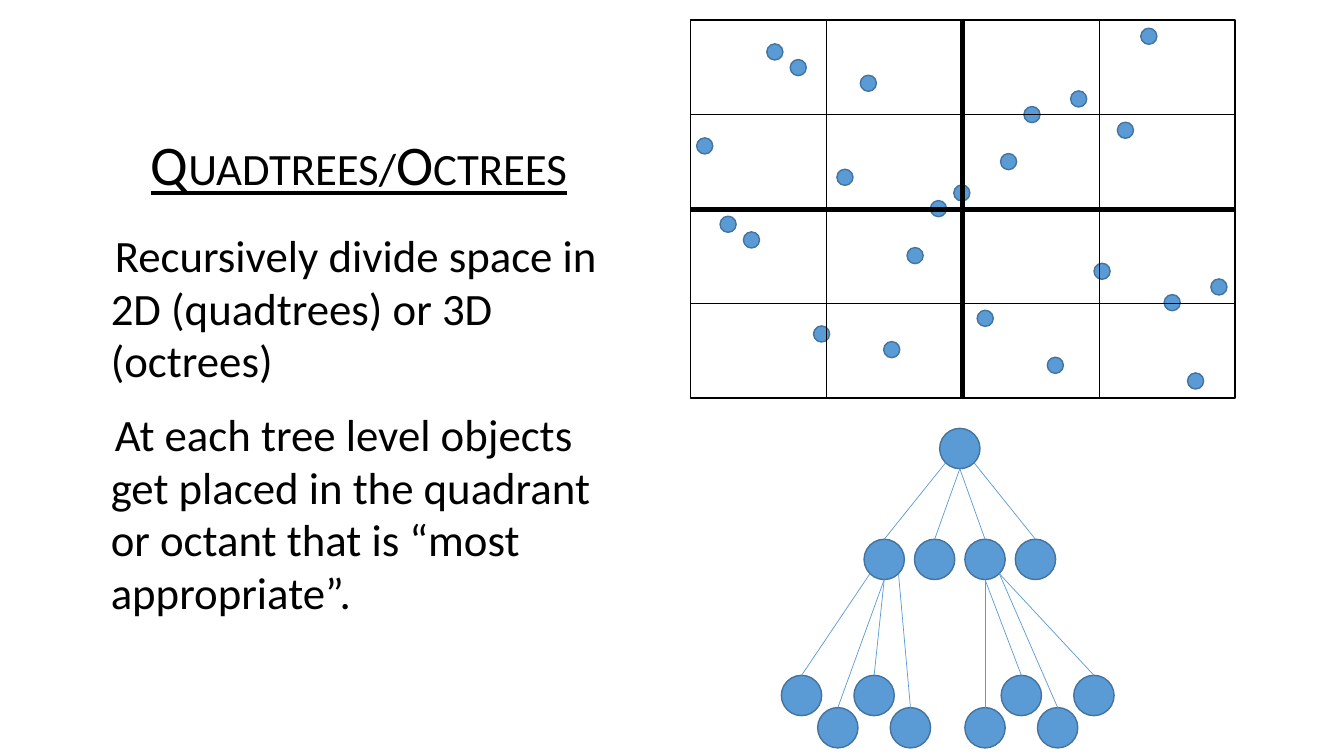
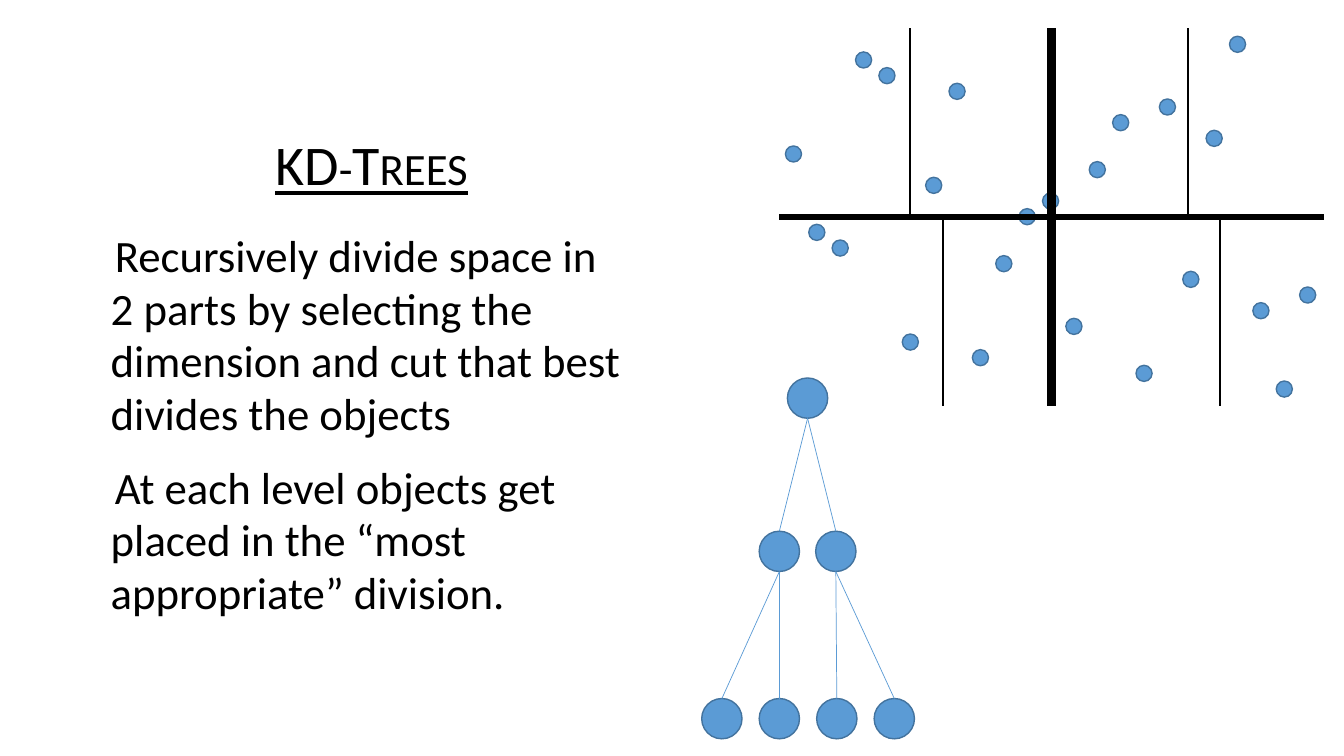
"""Build two slides comparing quadtrees/octrees with KD-trees."""
import pptx
import pptx.util
import pptx.dml.color
import pptx.enum.shapes
import pptx.enum.text
import pptx.oxml.ns
from lxml import etree

Inches, Pt = pptx.util.Inches, pptx.util.Pt
BLACK = pptx.dml.color.RGBColor(0x00, 0x00, 0x00)
BLUE = pptx.dml.color.RGBColor(0x5B, 0x9B, 0xD5)
DARK_BLUE = pptx.dml.color.RGBColor(0x43, 0x73, 0x9E)
SHAPES = pptx.enum.shapes.MSO_SHAPE
ALIGN = pptx.enum.text.PP_ALIGN

FONT = "Calibri"
PLOT_WIDTH, PLOT_HEIGHT = 5.4, 3.75
DOT, NODE = 0.16, 0.4
DOT_MARGIN = (0.06, 0.08)
DOT_SPAN = (5.1, 3.42)
DOT_ROWS = [7, 12, 13, 1, 2, 19, 9, 3, 20, 14, 11, 10, 18, 8, 5, 21, 4, 15, 6, 0, 17, 22, 16]

SLIDES = [
    {
        "title": "Quadtrees/Octrees",
        "points": [
            "Recursively divide space in 2D (quadtrees) or 3D (octrees)",
            "At each tree level objects get placed in the quadrant or octant that is “most appropriate”.",
        ],
        "text_width": 5.08,
        "plot": (6.85, 0.2),
        "framed": True,
        "cuts": [
            (0.75, 0, 0.75, 1, 0.5), (0.5, 0, 0.5, 1, 3.5), (0.25, 0, 0.25, 1, 0.5),
            (0, 0.25, 1, 0.25, 0.5), (0, 0.5, 1, 0.5, 3.5), (0, 0.75, 1, 0.75, 0.5),
        ],
        "node_rows": [
            (9.32, 0, [4.25]),
            (8.57, 0.5, [5.35] * 4),
            (7.75, 0.36, [6.7, 7.02] * 2),
            (9.57, 0.36, [7.02, 6.7] * 2),
        ],
        "families": [(0, 1, "LMMR"), (1, 5, "LMMR"), (3, 9, "MMRR")],
    },
    {
        "title": "KD-Trees",
        "points": [
            "Recursively divide space in 2 parts by selecting the dimension and cut that best divides the objects",
            "At each level objects get placed in the “most appropriate” division.",
        ],
        "text_width": 5.33,
        "plot": (7.73, 0.28),
        "framed": False,
        "cuts": [
            (0.75, 0, 0.75, 0.5, 1.5), (0.5, 0, 0.5, 1, 6), (0, 0.5, 1, 0.5, 4),
            (0.81, 0.5, 0.81, 1, 1.5), (0.24, 0, 0.24, 0.5, 1.5), (0.3, 0.5, 0.3, 1, 1.5),
        ],
        "node_rows": [
            (7.81, 0, [3.75]),
            (7.53, 0.56, [5.27] * 2),
            (6.96, 0.57, [6.93] * 4),
        ],
        "families": [(0, 1, "MM"), (1, 3, "MM"), (2, 5, "MM")],
    },
]

DIAGONAL = NODE / 2 * 0.5 ** 0.5
LINK_STARTS = {"L": (-DIAGONAL, DIAGONAL), "M": (0, NODE / 2), "R": (DIAGONAL, DIAGONAL)}


def add_text(slide, title, points, width):
    """Write the underlined title and its points in one centred box."""
    box = slide.shapes.add_textbox(Inches(1), Inches(0.91), Inches(width), Inches(5.69))
    frame = box.text_frame
    frame.word_wrap = True
    frame.vertical_anchor = pptx.enum.text.MSO_ANCHOR.MIDDLE
    frame.text = "\n".join([title, *points])
    for index, paragraph in enumerate(frame.paragraphs):
        heading = index == 0
        paragraph._p.get_or_add_pPr().set("indent", str(Inches(0.04)))
        paragraph.alignment = ALIGN.CENTER if heading else ALIGN.LEFT
        paragraph.line_spacing = 0.9 if heading else 0.98
        if heading:
            paragraph.space_after = Pt(8.4)
        else:
            paragraph.space_before = Pt(15)
        run = paragraph.runs[0]
        run.font.name = FONT
        run.font.size = Pt(40 if heading else 32)
        run.font.color.rgb = BLACK
        run.font.underline = heading
        if heading:
            run._r.get_or_add_rPr().set("cap", "small")


def add_circle(slide, left, top, size):
    """Draw a blue circle."""
    circle = slide.shapes.add_shape(SHAPES.OVAL, Inches(left), Inches(top), Inches(size), Inches(size))
    circle.shadow.inherit = False
    circle.fill.solid()
    circle.fill.fore_color.rgb = BLUE
    circle.line.color.rgb = DARK_BLUE
    circle.line.width = Pt(1)


def add_line(slide, start, end, color, width):
    """Draw a straight line between two points."""
    line = slide.shapes.add_connector(
        pptx.enum.shapes.MSO_CONNECTOR.STRAIGHT, *[Inches(value) for value in (*start, *end)])
    line.line.color.rgb = color
    line.line.width = Pt(width)
    etree.SubElement(line._element.spPr, pptx.oxml.ns.qn("a:effectLst"))


def add_plot(slide, left, top, framed, cuts):
    """Scatter the dots and draw the cuts that divide them."""
    last = len(DOT_ROWS) - 1
    for column, row in enumerate(DOT_ROWS):
        add_circle(slide, left + DOT_MARGIN[0] + DOT_SPAN[0] * column / last,
                   top + DOT_MARGIN[1] + DOT_SPAN[1] * row / last, DOT)
    if framed:
        frame = slide.shapes.add_shape(
            SHAPES.RECTANGLE, Inches(left), Inches(top), Inches(PLOT_WIDTH), Inches(PLOT_HEIGHT))
        frame.shadow.inherit = False
        frame.fill.background()
        frame.line.color.rgb = BLACK
        frame.line.width = Pt(1)
    for x1, y1, x2, y2, width in cuts:
        add_line(slide, (left + x1 * PLOT_WIDTH, top + y1 * PLOT_HEIGHT),
                 (left + x2 * PLOT_WIDTH, top + y2 * PLOT_HEIGHT), BLACK, width)


def add_tree(slide, node_rows, families):
    """Draw the nodes row by row, then link each parent to its children."""
    nodes = [(left + step * index, top)
             for left, step, tops in node_rows for index, top in enumerate(tops)]
    for left, top in nodes:
        add_circle(slide, left, top, NODE)
    for parent, first_child, starts in families:
        parent_left, parent_top = nodes[parent]
        for child, start in enumerate(starts, first_child):
            shift_x, shift_y = LINK_STARTS[start]
            child_left, child_top = nodes[child]
            add_line(slide, (parent_left + NODE / 2 + shift_x, parent_top + NODE / 2 + shift_y),
                     (child_left + NODE / 2, child_top), BLUE, 0.5)


def main():
    """Build and save the presentation."""
    presentation = pptx.Presentation()
    presentation.slide_width, presentation.slide_height = Inches(13.33), Inches(7.5)
    for content in SLIDES:
        slide = presentation.slides.add_slide(presentation.slide_layouts[6])
        add_text(slide, content["title"], content["points"], content["text_width"])
        add_plot(slide, *content["plot"], content["framed"], content["cuts"])
        add_tree(slide, content["node_rows"], content["families"])
    presentation.save("out.pptx")


if __name__ == "__main__":
    main()
